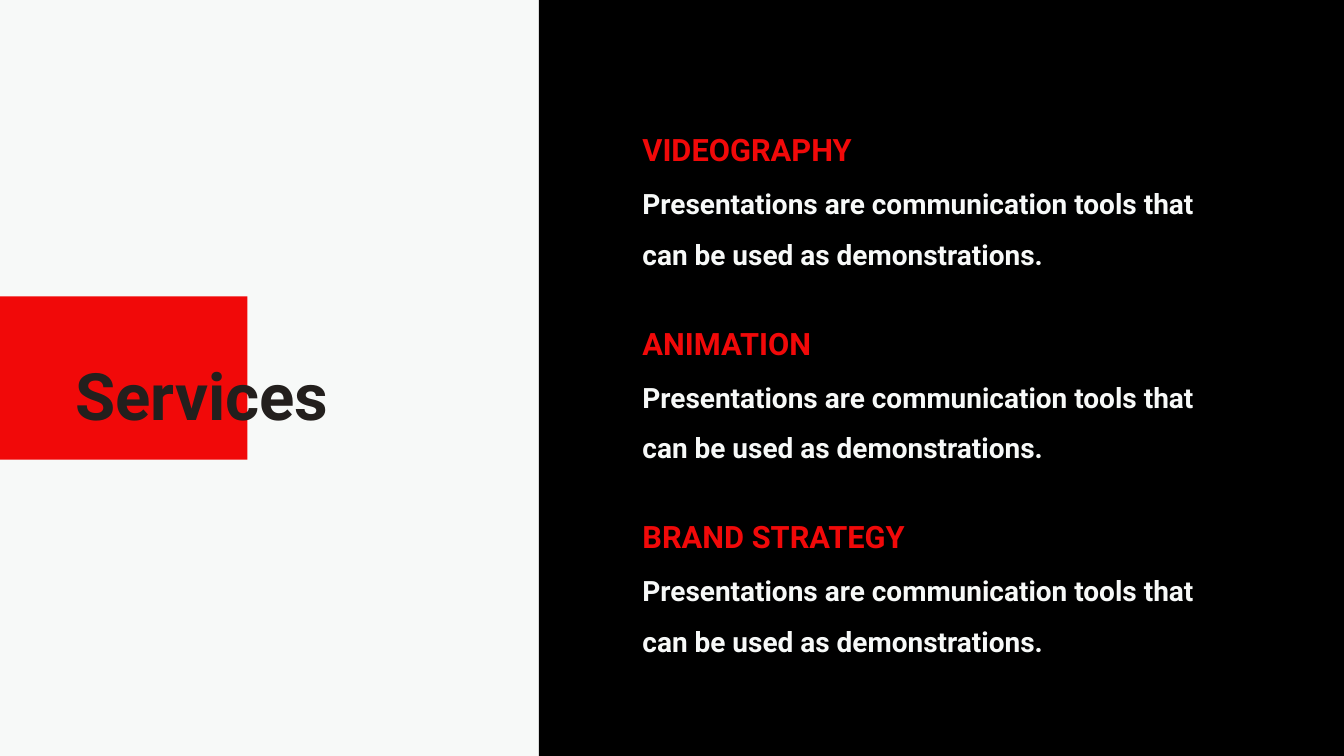
from dataclasses import dataclass

from pptx import Presentation
from pptx.dml.color import RGBColor
from pptx.enum.shapes import MSO_SHAPE
from pptx.enum.text import MSO_ANCHOR, MSO_AUTO_SIZE, PP_ALIGN
from pptx.util import Inches, Pt


@dataclass(frozen=True)
class Theme:
    font: str = "Roboto"
    paper: str = "F7F9F8"
    ink: str = "231F1D"
    accent: str = "F10909"
    panel: str = "000000"
    title_size: int = 70
    heading_size: int = 33
    body_size: int = 30


class SlideBuilder:
    def __init__(self, slide, theme):
        self.slide = slide
        self.theme = theme

    def background(self, color):
        fill = self.slide.background.fill
        fill.solid()
        fill.fore_color.rgb = RGBColor.from_string(color)

    def block(self, left, top, width, height, color):
        block = self.slide.shapes.add_shape(
            MSO_SHAPE.RECTANGLE, Inches(left), Inches(top), Inches(width), Inches(height))
        block.shadow.inherit = False
        block.fill.solid()
        block.fill.fore_color.rgb = RGBColor.from_string(color)
        block.line.fill.background()
        return block

    def title(self, left, top, width, height, words):
        title = self.slide.shapes.title
        title.left, title.top = Inches(left), Inches(top)
        title.width, title.height = Inches(width), Inches(height)
        self.set_text(title.text_frame, words, self.theme.title_size, self.theme.ink, 1.2)
        return title

    def text(self, left, top, width, height, words, size, color, spacing):
        box = self.slide.shapes.add_textbox(
            Inches(left), Inches(top), Inches(width), Inches(height))
        self.set_text(box.text_frame, words, size, color, spacing)

    def set_text(self, frame, words, size, color, spacing):
        frame.word_wrap = True
        frame.auto_size = MSO_AUTO_SIZE.SHAPE_TO_FIT_TEXT
        frame.vertical_anchor = MSO_ANCHOR.TOP
        frame.margin_left = frame.margin_right = 0
        frame.margin_top = frame.margin_bottom = 0
        paragraph = frame.paragraphs[0]
        paragraph.alignment = PP_ALIGN.LEFT
        paragraph.line_spacing = spacing
        run = paragraph.add_run()
        run.text = words
        run.font.name = self.theme.font
        run.font.size = Pt(size)
        run.font.bold = True
        run.font.color.rgb = RGBColor.from_string(color)


def main():
    theme = Theme()
    deck = Presentation()
    deck.slide_width, deck.slide_height = Inches(20), Inches(11.25)
    title_only = deck.slide_layouts[5]
    builder = SlideBuilder(deck.slides.add_slide(title_only), theme)
    builder.background(theme.paper)

    # Title over its red block
    title_block = builder.block(0, 4.41, 3.68, 2.43, theme.accent)
    title = builder.title(1.12, 5.05, 5.87, 1.16, "Services")
    title_block._element.addnext(title._element)

    # Black panel with the services
    builder.block(8.02, -0.18, 11.99, 11.6, theme.panel)
    description = "Presentations are communication tools that can be used as demonstrations."
    services = ["VIDEOGRAPHY", "ANIMATION", "BRAND STRATEGY"]
    left, first_top, width, pitch = 9.56, 1.73, 8.91, 2.88
    for row, service in enumerate(services):
        top = first_top + row * pitch
        builder.text(left, top, width, 0.59, service,
                     theme.heading_size, theme.accent, 1.4)
        builder.text(left, top + 0.8, width, 1.2, description,
                     theme.body_size, theme.paper, 1.5)

    deck.save("out.pptx")


if __name__ == "__main__":
    main()
